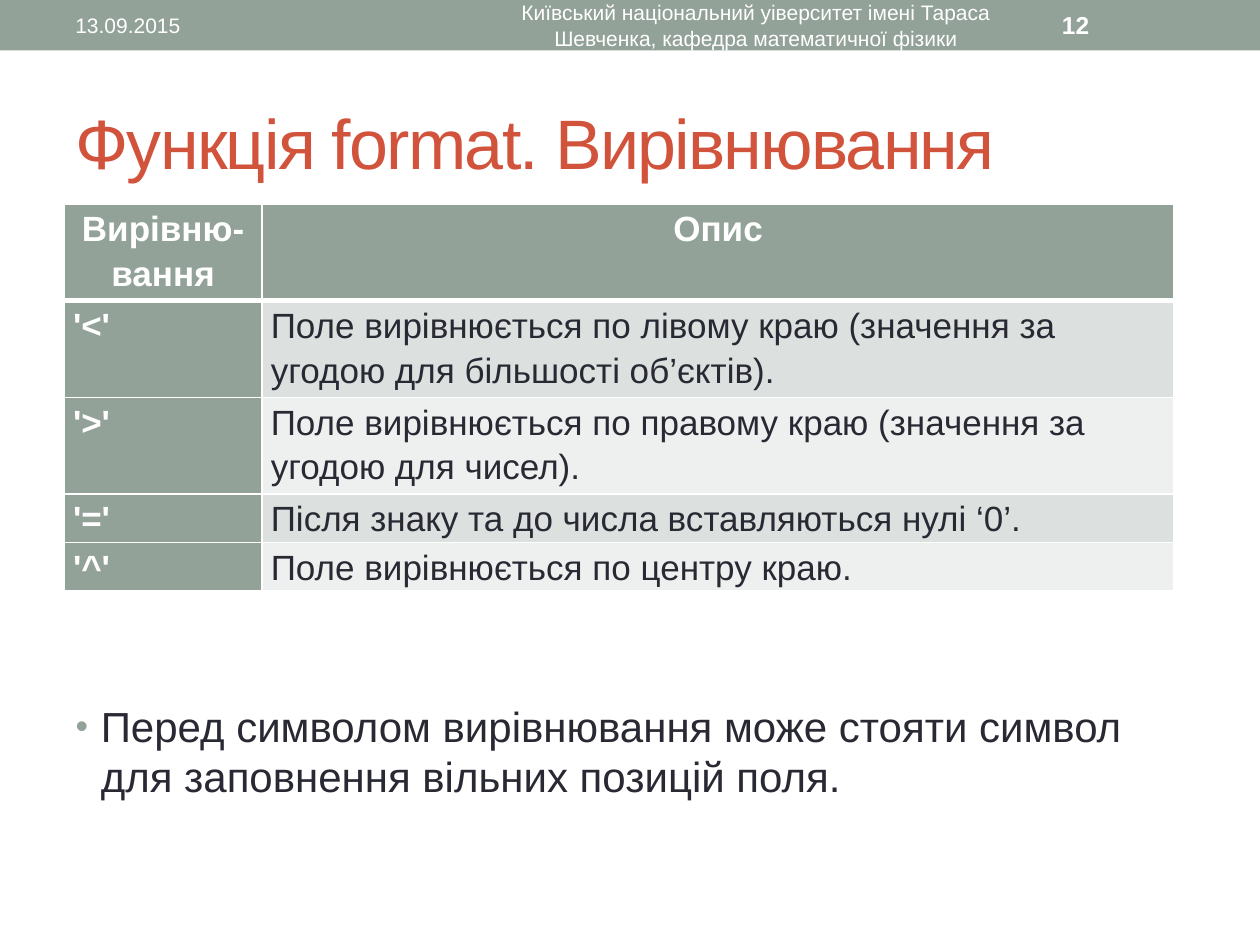
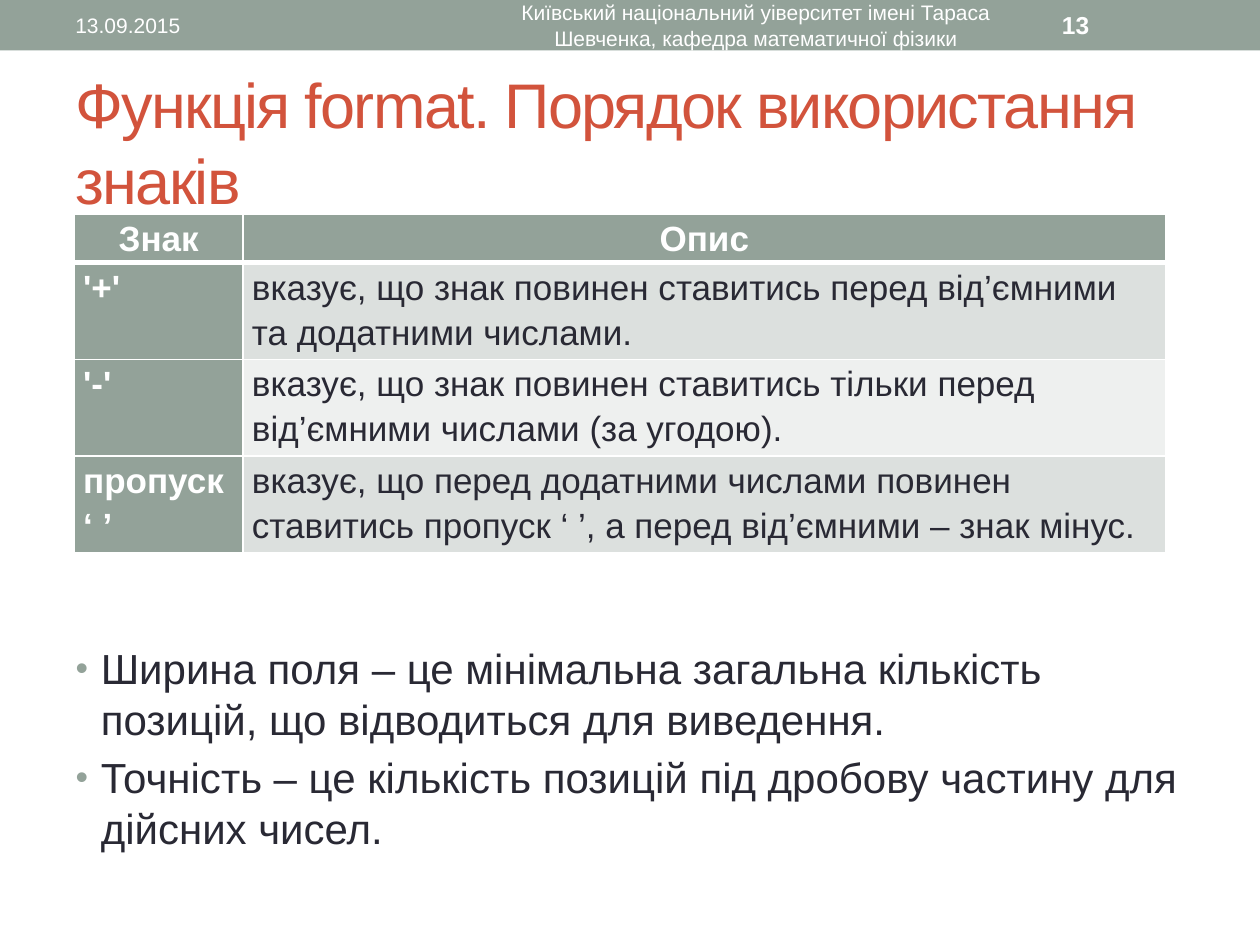
from pptx import Presentation
from pptx import util as u
from pptx.dml.color import RGBColor
from pptx.enum import shapes, text
from pptx.oxml import parse_xml
from pptx.oxml.ns import nsdecls

FONT = "Arial"
SAGE, RED, INK, WHITE = "93A299", "D2533C", "292934", "FFFFFF"
ROW_TINTS = ("DCE0DE", "EEF0EF")
LINE_HEIGHT = 0.35  # one line of table text, inches
DATE = "13.09.2015"
FOOTER = "Київський національний уіверситет імені Тараса Шевченка, кафедра математичної фізики"

BAND_BOX = (0, 0, 10, 0.4)
TITLE_BOX = (0.5, 0.58, 9, 1.08)
BODY_BOX = (0.5, 1.75, 9, 5.33)

SLIDES = [
    dict(
        number=12, title="Функція format. Вирівнювання", title_size=40,
        table_at=(0.51, 1.62), columns=(1.57, 7.24), row_lines=(2, 2, 2, 1, 1),
        rows=[
            ("Вирівню-вання", "Опис"),
            ("'<'", "Поле вирівнюється по лівому краю (значення за угодою для більшості об’єктів)."),
            ("'>'", "Поле вирівнюється по правому краю (значення за угодою для чисел)."),
            ("'='", "Після знаку та до числа вставляються нулі ‘0’."),
            ("'^'", "Поле вирівнюється по центру краю."),
        ],
        bullets_top=5.56,
        bullets=["Перед символом вирівнювання може стояти символ для заповнення вільних позицій поля."],
    ),
    dict(
        number=13, title="Функція format. Порядок використання знаків", title_size=36,
        table_at=(0.59, 1.7), columns=(1.34, 7.32), row_lines=(1, 2, 2, 2),
        rows=[
            ("Знак", "Опис"),
            ("'+'", "вказує, що знак повинен ставитись перед від’ємними та додатними числами."),
            ("'-'", "вказує, що знак повинен ставитись тільки перед від’ємними числами (за угодою)."),
            ("пропуск ‘ ’", "вказує, що перед додатними числами повинен ставитись пропуск ‘ ’, "
                            "а перед від’ємними – знак мінус."),
        ],
        bullets_top=5.1,
        bullets=[
            "Ширина поля – це мінімальна загальна кількість позицій, що відводиться для виведення.",
            "Точність – це кількість позицій під дробову частину для дійсних чисел.",
        ],
    ),
]


def color(value):
    return RGBColor.from_string(value)


def inches(box):
    return [u.Inches(value) for value in box]


def place(shape, box):
    shape.left, shape.top, shape.width, shape.height = inches(box)


def style(paragraph, size, ink, bold=False, align=text.PP_ALIGN.LEFT):
    paragraph.alignment = align
    for run in paragraph.runs:
        run.font.name = FONT
        run.font.size = u.Pt(size)
        run.font.bold = bold
        run.font.color.rgb = color(ink)


# Band with date, footer and slide number
def add_band(slide, box, number):
    band = slide.shapes.add_shape(shapes.MSO_SHAPE.RECTANGLE, *inches(box))
    band.shadow.inherit = False
    band.fill.solid()
    band.fill.fore_color.rgb = color(SAGE)
    band.line.fill.background()

    left, top, _, height = box
    labels = [
        (DATE, 0.5, 3.17, 12, False, text.PP_ALIGN.LEFT),
        (FOOTER, 3.75, 4.5, 12, False, text.PP_ALIGN.CENTER),
        (str(number), 8.33, 1.17, 14, True, text.PP_ALIGN.LEFT),
    ]
    for words, offset, width, size, bold, align in labels:
        label = slide.shapes.add_textbox(*inches((left + offset, top + 0.02, width, height - 0.04)))
        frame = label.text_frame
        frame.word_wrap = True
        frame.vertical_anchor = text.MSO_ANCHOR.MIDDLE
        frame.text = words
        style(frame.paragraphs[0], size, WHITE, bold, align)


# Title
def fill_title(slide, box, words, size):
    title = slide.shapes.title
    place(title, box)
    frame = title.text_frame
    frame.auto_size = text.MSO_AUTO_SIZE.NONE
    frame.vertical_anchor = text.MSO_ANCHOR.MIDDLE
    frame.text = words
    paragraph = frame.paragraphs[0]
    style(paragraph, size, RED)
    paragraph.runs[0].font._element.set("spc", "-100")


# Bulleted list, starting below the table
def fill_bullets(slide, box, first_line_top, bullets):
    body = slide.placeholders[1]
    place(body, box)
    frame = body.text_frame
    frame.auto_size = text.MSO_AUTO_SIZE.NONE
    frame.vertical_anchor = text.MSO_ANCHOR.TOP
    frame.margin_top = u.Inches(first_line_top - box[1])
    frame.text = "\n".join(bullets)
    for index, paragraph in enumerate(frame.paragraphs):
        style(paragraph, 24, INK)
        paragraph.space_before = u.Pt(4.8 if index else 0)
        add_bullet(paragraph)


def add_bullet(paragraph):
    properties = paragraph._p.get_or_add_pPr()
    indent = u.Inches(0.2)
    properties.set("marL", str(indent))
    properties.set("indent", str(-indent))
    for markup in (
        f'<a:buClr {nsdecls("a")}><a:srgbClr val="{SAGE}"/></a:buClr>',
        f'<a:buSzPct {nsdecls("a")} val="85000"/>',
        f'<a:buFont {nsdecls("a")} typeface="{FONT}"/>',
        f'<a:buChar {nsdecls("a")} char="•"/>',
    ):
        properties.append(parse_xml(markup))


# Table with a header row and a header column
def add_description_table(slide, position, columns, row_lines, rows):
    box = (*position, sum(columns), LINE_HEIGHT * sum(row_lines))
    table = slide.shapes.add_table(len(rows), len(columns), *inches(box)).table
    for column, width in zip(table.columns, columns):
        column.width = u.Inches(width)
    for row_index, (words, lines) in enumerate(zip(rows, row_lines)):
        table.rows[row_index].height = u.Inches(LINE_HEIGHT * lines)
        for column_index, cell_text in enumerate(words):
            format_cell(table.cell(row_index, column_index), cell_text, row_index, column_index)


def format_cell(cell, words, row, column):
    is_header = row == 0
    is_label = is_header or column == 0
    cell.margin_left = cell.margin_right = u.Inches(0.07)
    cell.margin_top = cell.margin_bottom = 0
    cell.text = words
    paragraph = cell.text_frame.paragraphs[0]
    paragraph.line_spacing = 1.15
    align = text.PP_ALIGN.CENTER if is_header else text.PP_ALIGN.LEFT
    style(paragraph, 20, WHITE if is_label else INK, is_label, align)
    add_borders(cell, top=3 if row == 1 else 1, bottom=3 if is_header else 1)
    cell.fill.solid()
    cell.fill.fore_color.rgb = color(SAGE if is_label else ROW_TINTS[(row - 1) % 2])


def add_borders(cell, top, bottom):
    properties = cell._tc.get_or_add_tcPr()
    for side, points in (("L", 1), ("R", 1), ("T", top), ("B", bottom)):
        properties.append(parse_xml(
            f'<a:ln{side} {nsdecls("a")} w="{u.Pt(points)}"><a:solidFill>'
            f'<a:srgbClr val="{WHITE}"/></a:solidFill></a:ln{side}>'))


def build_slide(presentation, content):
    slide = presentation.slides.add_slide(presentation.slide_layouts[1])
    add_band(slide, BAND_BOX, content["number"])
    fill_title(slide, TITLE_BOX, content["title"], content["title_size"])
    fill_bullets(slide, BODY_BOX, content["bullets_top"], content["bullets"])
    add_description_table(slide, content["table_at"], content["columns"],
                          content["row_lines"], content["rows"])


def main():
    presentation = Presentation()
    presentation.slide_width = u.Inches(10)
    presentation.slide_height = u.Inches(7.5)
    for content in SLIDES:
        build_slide(presentation, content)
    presentation.save("out.pptx")


if __name__ == "__main__":
    main()
